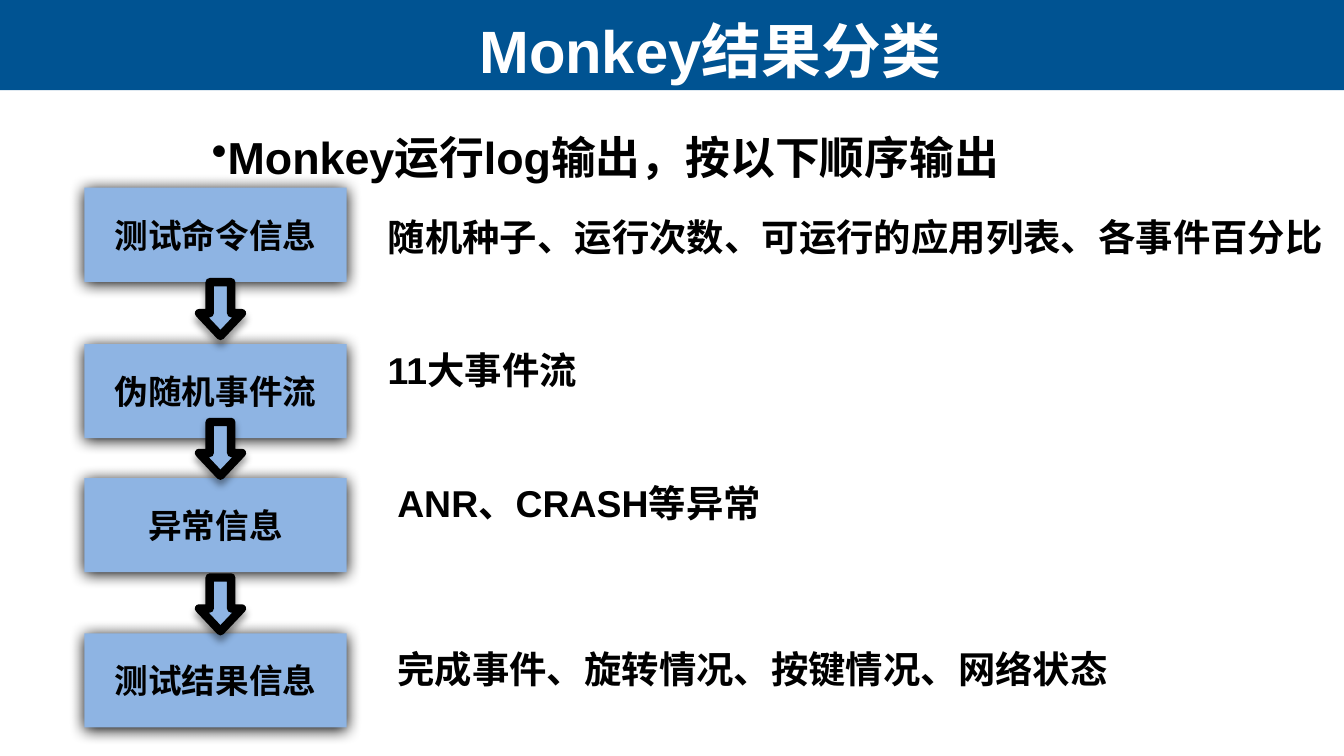
from dataclasses import dataclass

from lxml import etree
from pptx import Presentation
from pptx import util as u
from pptx.dml.color import RGBColor
from pptx.enum import shapes, text
from pptx.oxml import ns


@dataclass(frozen=True)
class Theme:
    """Colours, fonts and type sizes of the slide."""
    banner: str = "005392"
    step: str = "8EB4E3"
    ink: str = "000000"
    light: str = "FFFFFF"
    latin: str = "Arial"
    chinese: str = "Noto Sans CJK SC"
    title: float = 32
    lead: float = 24
    detail: float = 20
    label: float = 18


def child(parent, tag, **attributes):
    """Append a DrawingML element and return it."""
    return etree.SubElement(parent, ns.qn(tag), {k: str(v) for k, v in attributes.items()})


def write(frame, words, *, size, color, font, chinese, align=text.PP_ALIGN.LEFT,
          anchor=text.MSO_ANCHOR.TOP, inset=(0, 0), spacing=None, before=None,
          margin=None, indent=0, bullet=None):
    """Put one formatted paragraph into a text frame."""
    frame.word_wrap = True
    frame.auto_size = text.MSO_AUTO_SIZE.NONE
    frame.vertical_anchor = anchor
    frame.margin_left = frame.margin_right = u.Pt(inset[0])
    frame.margin_top = frame.margin_bottom = u.Pt(inset[1])
    para = frame.paragraphs[0]
    para.alignment = align
    if spacing is not None:
        para.line_spacing = spacing
    if before is not None:
        para.space_before = u.Pt(before)
    properties = para._p.get_or_add_pPr()
    if margin is not None:
        properties.set("marL", str(u.Pt(margin)))
        properties.set("indent", str(u.Pt(indent)))
    if bullet:
        child(properties, "a:buChar", char=bullet)
    span = para.add_run()
    span.text = words
    span.font.name = font
    span.font.size = u.Pt(size)
    span.font.bold = True
    span.font.color.rgb = RGBColor.from_string(color)
    child(span._r.get_or_add_rPr(), "a:ea", typeface=chinese)


class SlideBuilder:
    """Draws the elements of a page in one style."""

    def __init__(self, deck, theme):
        """Open a title-only page."""
        self.theme = theme
        self.page = deck.slides.add_slide(deck.slide_layouts[5])

    def shape(self, kind, left, top, width, height, fill):
        """Add a flat filled shape without an outline."""
        box = self.page.shapes.add_shape(kind, u.Pt(left), u.Pt(top), u.Pt(width), u.Pt(height))
        box.fill.solid()
        box.fill.fore_color.rgb = RGBColor.from_string(fill)
        box.line.fill.background()
        box.shadow.inherit = False
        return box

    def shadow(self, box, blur, distance, opacity):
        """Give a shape a shadow that falls straight down."""
        effects = box._element.spPr.find(ns.qn("a:effectLst"))
        outer = child(effects, "a:outerShdw", blurRad=u.Pt(blur), dist=u.Pt(distance),
                      dir=90 * 60000, algn="ctr", rotWithShape=0)
        color = child(outer, "a:srgbClr", val=self.theme.ink)
        child(color, "a:alpha", val=opacity * 1000)

    def banner(self, height):
        """Lay the title band behind everything else."""
        band = self.shape(shapes.MSO_SHAPE.RECTANGLE, 0, 0, 720, height, self.theme.banner)
        self.page.shapes._spTree.insert(2, band._element)

    def title(self, words, left, top, width, height):
        """Place and fill the title placeholder."""
        box = self.page.shapes.title
        box.left, box.top, box.width, box.height = map(u.Pt, (left, top, width, height))
        write(box.text_frame, words, size=self.theme.title, color=self.theme.light,
              font=self.theme.latin, chinese=self.theme.chinese, inset=(7.2, 3.6),
              align=text.PP_ALIGN.CENTER, anchor=text.MSO_ANCHOR.MIDDLE)

    def passage(self, words, left, top, width, height, size, **layout):
        """Add a line of body text."""
        box = self.page.shapes.add_textbox(u.Pt(left), u.Pt(top), u.Pt(width), u.Pt(height))
        write(box.text_frame, words, size=size, color=self.theme.ink, font=self.theme.latin,
              chinese=self.theme.chinese, spacing=1.5, before=size * 0.2, margin=27, **layout)

    def step(self, words, left, top, width, height):
        """Add a labelled step of the flow."""
        box = self.shape(shapes.MSO_SHAPE.RECTANGLE, left, top, width, height, self.theme.step)
        self.shadow(box, 8.5, 1, 100)
        write(box.text_frame, words, size=self.theme.label, color=self.theme.ink,
              font=self.theme.chinese, chinese=self.theme.chinese, inset=(1.5, 1.5),
              align=text.PP_ALIGN.CENTER, anchor=text.MSO_ANCHOR.MIDDLE)

    def arrow(self, left, top, width, height):
        """Add a heavy outlined arrow pointing down."""
        box = self.shape(shapes.MSO_SHAPE.DOWN_ARROW, left, top, width, height, self.theme.step)
        box.adjustments[0], box.adjustments[1] = 0.5, 0.53
        box.line.color.rgb = RGBColor.from_string(self.theme.ink)
        box.line.width = u.Pt(4.5)
        child(box.line._get_or_add_ln(), "a:round")
        self.shadow(box, 4, 3, 40)


def main():
    """Build and save the deck."""
    deck = Presentation()
    deck.slide_width, deck.slide_height = u.Pt(720), u.Pt(405)
    theme = Theme()
    builder = SlideBuilder(deck, theme)
    builder.banner(48.3)
    builder.title("Monkey结果分类", 41, 13, 679, 27.4)
    builder.passage("Monkey运行log输出，按以下顺序输出", 58.3, 51.8, 603.4, 274.3, theme.lead,
                    inset=(7.2, 3.6), indent=21, bullet="•")
    steps = [
        ("测试命令信息", 100.6, "随机种子、运行次数、可运行的应用列表、各事件百分比", 180.7, 103, 577),
        ("伪随机事件流", 184.4, "11大事件流", 180.7, 174.2, 497.5),
        ("异常信息", 256.2, "ANR、CRASH等异常", 185.8, 245.5, 497.5),
        ("测试结果信息", 339.4, "完成事件、旋转情况、按键情况、网络状态", 185.8, 334.1, 497.5),
    ]
    for label, top, detail, left, detail_top, width in steps:
        builder.step(label, 45.2, top, 140.6, 50.4)
        builder.passage(detail, left, detail_top, width, 38.9, theme.detail)
    for top in (151.2, 226.1, 309.4):
        builder.arrow(106.6, top, 23, 28.8)
    deck.save("out.pptx")


if __name__ == "__main__":
    main()
